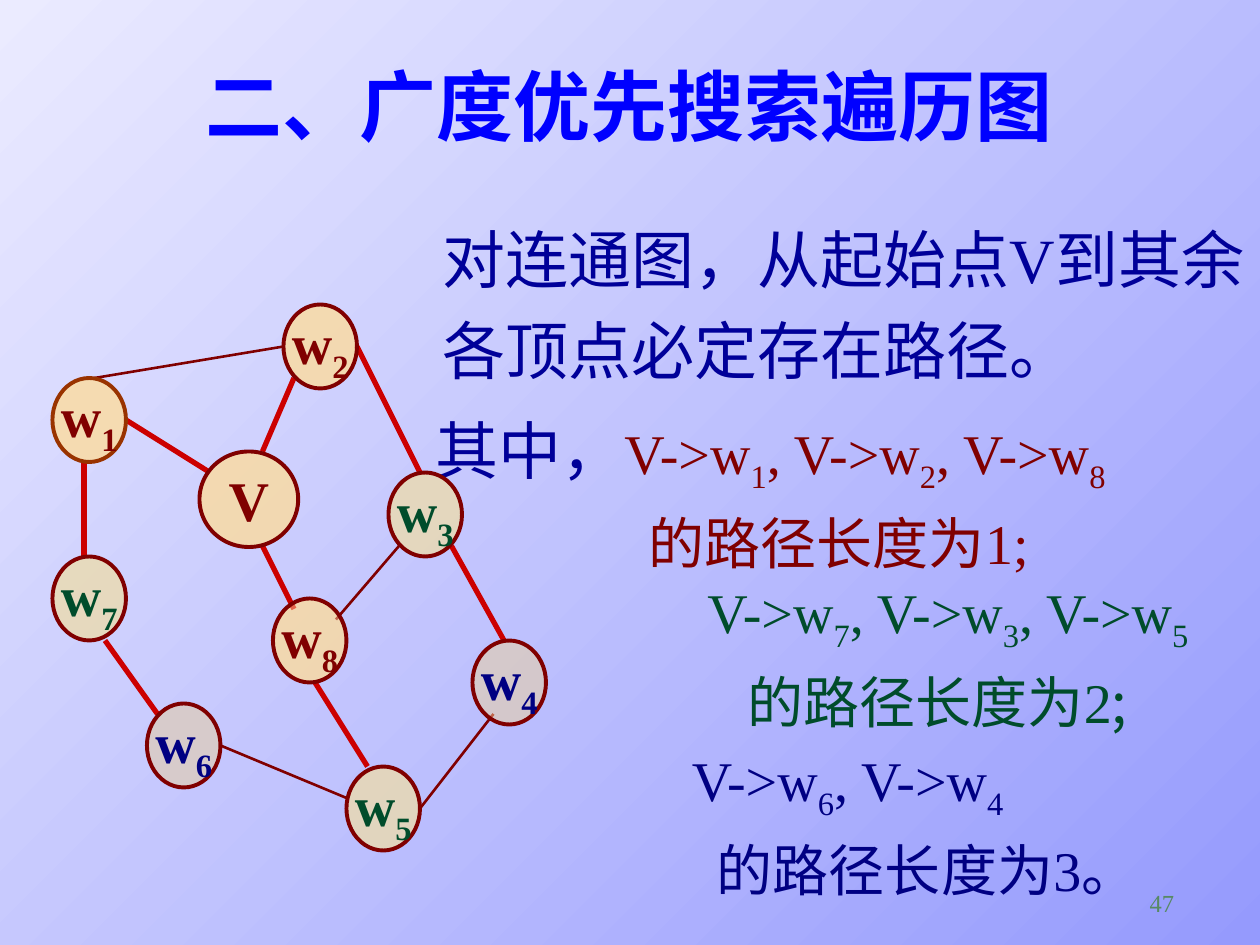
"""Build a slide on breadth-first traversal of a graph and its path lengths."""
from dataclasses import dataclass
from typing import Optional

import lxml.etree
import pptx
import pptx.dml.color
import pptx.enum.shapes
import pptx.enum.text
import pptx.oxml.ns
import pptx.util

PX = 7620
ALIGN = pptx.enum.text.PP_ALIGN
ANCHOR = pptx.enum.text.MSO_ANCHOR


@dataclass(frozen=True)
class Theme:
    latin: str = "Times New Roman"
    chinese: str = "Noto Sans CJK SC"
    title: str = "0000FF"
    body: str = "000099"
    number: str = "578963"
    near: str = "800000"
    middle: str = "004C2B"
    far: str = "000082"
    edge: str = "800000"
    start_edge: str = "993300"
    tree_edge: str = "CC0000"
    visited: str = "FFCC99"
    background: tuple[str, str] = ("959AFD", "EBEBFF")
    title_size: int = 44
    body_size: int = 36
    path_size: int = 32
    number_size: int = 14
    node_line: float = 2.25
    edge_line: float = 1.5
    tree_line: float = 3


THEME = Theme()


@dataclass(frozen=True)
class Box:
    left: int
    top: int
    width: int
    height: int


@dataclass(frozen=True)
class Run:
    text: str
    color: str
    size: int = THEME.path_size
    font: str = THEME.latin
    bold: bool = False
    subscript: bool = False


@dataclass(frozen=True)
class Line:
    runs: list[Run]
    indent: int = 0
    spacing: Optional[float] = 1.2
    align: Optional[ALIGN] = None


@dataclass(frozen=True)
class Node:
    label: str
    left: int
    top: int
    color: str
    tint: str
    outline: str = THEME.edge
    width: int = 70
    height: int = 80


@dataclass(frozen=True)
class Edge:
    x1: int
    y1: int
    x2: int
    y2: int


NEAR_TINT, MIDDLE_TINT, FAR_TINT = "FFFF99", "CCFFCC", "99CCFF"
NODES = [
    Node("V", 190, 430, THEME.near, NEAR_TINT, width=94, height=91),
    Node("w1", 50, 360, THEME.near, NEAR_TINT, THEME.start_edge),
    Node("w2", 270, 290, THEME.near, NEAR_TINT),
    Node("w7", 50, 530, THEME.middle, MIDDLE_TINT),
    Node("w6", 140, 670, THEME.far, FAR_TINT),
    Node("w3", 370, 450, THEME.middle, MIDDLE_TINT),
    Node("w8", 260, 570, THEME.near, NEAR_TINT),
    Node("w5", 330, 730, THEME.middle, MIDDLE_TINT),
    Node("w4", 450, 610, THEME.far, FAR_TINT),
]
OTHER_EDGES = [
    Edge(210, 710, 330, 760),
    Edge(380, 520, 320, 590),
    Edge(90, 360, 270, 330),
    Edge(470, 680, 400, 770),
]
TREE_EDGES = [
    Edge(120, 400, 200, 450),
    Edge(280, 360, 250, 430),
    Edge(250, 520, 280, 580),
    Edge(80, 440, 80, 530),
    Edge(340, 330, 400, 450),
    Edge(300, 650, 350, 730),
    Edge(100, 610, 150, 680),
    Edge(430, 520, 480, 610),
]


def rgb(color: str) -> pptx.dml.color.RGBColor:
    """Turn a hex string into a colour."""
    return pptx.dml.color.RGBColor.from_string(color)


def place(box: Box) -> list[int]:
    """Turn a box in px into EMU lengths."""
    return [value * PX for value in (box.left, box.top, box.width, box.height)]


def write(frame, lines: list[Line], wrap: bool = True, anchor=ANCHOR.TOP) -> None:
    """Fill a text frame run by run."""
    frame.word_wrap = wrap
    frame.auto_size = pptx.enum.text.MSO_AUTO_SIZE.NONE
    frame.vertical_anchor = anchor
    for index, line in enumerate(lines):
        paragraph = frame.add_paragraph() if index else frame.paragraphs[0]
        paragraph.alignment = line.align
        paragraph.line_spacing = line.spacing
        if line.indent:
            paragraph._p.get_or_add_pPr().set("marL", str(line.indent * PX))
        for item in line.runs:
            run = paragraph.add_run()
            run.text = item.text
            run.font.name = item.font
            run.font.size = pptx.util.Pt(item.size)
            run.font.bold = item.bold
            run.font.color.rgb = rgb(item.color)
            properties = run._r.get_or_add_rPr()
            east_asian = lxml.etree.Element(pptx.oxml.ns.qn("a:ea"), typeface=THEME.chinese)
            properties.find(pptx.oxml.ns.qn("a:latin")).addnext(east_asian)
            if item.subscript:
                properties.set("baseline", "-25000")


def add_text(slide, box: Box, lines: list[Line]) -> None:
    """Add a text box."""
    write(slide.shapes.add_textbox(*place(box)).text_frame, lines)


def add_ellipse(slide, node: Node, fill: str):
    """Add a half-transparent ellipse at a node's place."""
    box = Box(node.left, node.top, node.width, node.height)
    shape = slide.shapes.add_shape(pptx.enum.shapes.MSO_SHAPE.OVAL, *place(box))
    shape.shadow.inherit = False
    shape.fill.solid()
    shape.fill.fore_color.rgb = rgb(fill)
    color = shape._element.spPr.find(".//" + pptx.oxml.ns.qn("a:srgbClr"))
    lxml.etree.SubElement(color, pptx.oxml.ns.qn("a:alpha"), val="50000")
    shape.line.fill.background()
    return shape


def add_node(slide, node: Node) -> None:
    """Add an outlined node with its label."""
    shape = add_ellipse(slide, node, THEME.visited)
    shape.line.color.rgb = rgb(node.outline)
    shape.line.width = pptx.util.Pt(THEME.node_line)
    runs = [Run(letter, node.color, bold=True, subscript=letter.isdigit()) for letter in node.label]
    write(shape.text_frame, [Line(runs, spacing=None, align=ALIGN.CENTER)], False, ANCHOR.MIDDLE)


def add_edge(slide, edge: Edge, color: str, width: float) -> None:
    """Add a straight graph edge."""
    ends = [value * PX for value in (edge.x1, edge.y1, edge.x2, edge.y2)]
    connector = slide.shapes.add_connector(pptx.enum.shapes.MSO_CONNECTOR.STRAIGHT, *ends)
    connector.line.color.rgb = rgb(color)
    connector.line.width = pptx.util.Pt(width)
    lxml.etree.SubElement(connector._element.spPr, pptx.oxml.ns.qn("a:effectLst"))


def routes(targets: str, color: str) -> list[Run]:
    """List the routes from V to each numbered vertex."""
    runs = []
    for index, target in enumerate(targets):
        runs += [Run(", V->w" if index else "V->w", color), Run(target, color, subscript=True)]
    return runs


def length(value: str, end: str, color: str, indent: int, end_font: str = THEME.chinese) -> Line:
    """State the path length of a group of routes."""
    runs = [Run("的路径长度为", color, font=THEME.chinese), Run(value, color), Run(end, color, font=end_font)]
    return Line(runs, indent)


def main() -> None:
    """Build and save the slide."""
    presentation = pptx.Presentation()
    presentation.slide_width, presentation.slide_height = 1200 * PX, 900 * PX
    slide = presentation.slides.add_slide(presentation.slide_layouts[5])
    background = slide.background.fill
    background.gradient()
    background.gradient_angle = 135
    for stop, color in zip(background.gradient_stops, THEME.background):
        stop.color.rgb = rgb(color)

    title = slide.shapes.title
    title.left, title.top, title.width, title.height = place(Box(184, 50, 832, 101))
    heading = Run("二、广度优先搜索遍历图", THEME.title, THEME.title_size, bold=True)
    write(title.text_frame, [Line([heading], spacing=None, align=ALIGN.LEFT)], False)

    for node in NODES:
        add_ellipse(slide, node, node.tint)
    for edge in OTHER_EDGES:
        add_edge(slide, edge, THEME.edge, THEME.edge_line)

    intro = [
        Run("对连通图，从起始点", THEME.body, THEME.body_size, THEME.chinese),
        Run("V", THEME.body, THEME.body_size),
        Run("到其余各顶点必定存在路径。", THEME.body, THEME.body_size, THEME.chinese),
    ]
    among = Run("其中，", THEME.body, THEME.body_size, THEME.chinese)
    add_text(slide, Box(410, 190, 800, 185), [Line(intro)])
    add_text(slide, Box(403, 370, 790, 185), [
        Line([among, *routes("128", THEME.near)]), length("1", ";", THEME.near, 203, THEME.latin)])
    add_text(slide, Box(662, 530, 498, 187), [
        Line(routes("735", THEME.middle)), length("2", ";", THEME.middle, 38)])
    add_text(slide, Box(647, 690, 503, 176), [
        Line(routes("64", THEME.far)), length("3", "。", THEME.far, 24)])

    for edge in TREE_EDGES:
        add_edge(slide, edge, THEME.tree_edge, THEME.tree_line)
    for node in NODES:
        add_node(slide, node)
    number = Run("47", THEME.number, THEME.number_size)
    add_text(slide, Box(880, 840, 250, 60), [Line([number], spacing=None, align=ALIGN.RIGHT)])
    presentation.save("out.pptx")


if __name__ == "__main__":
    main()
